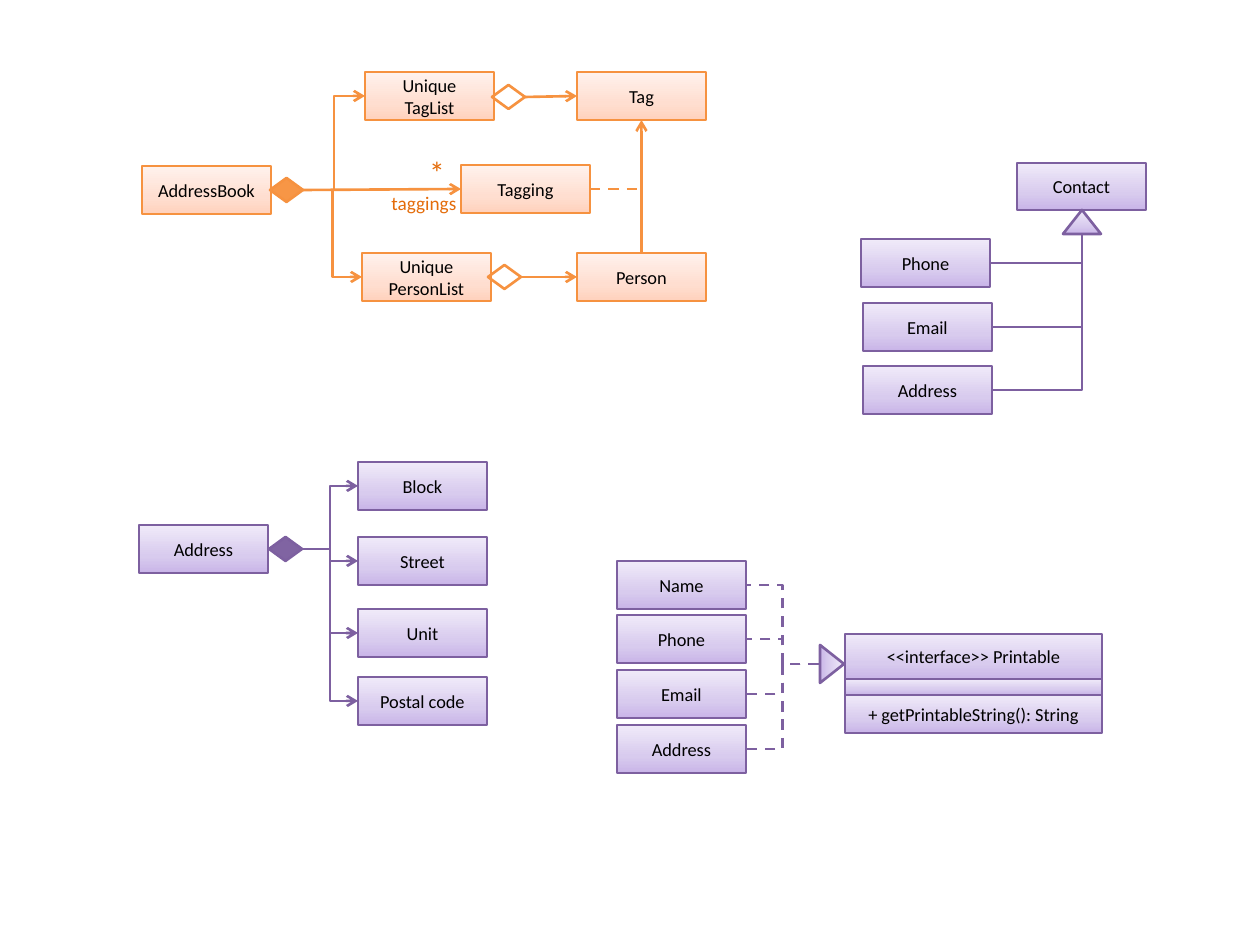
from dataclasses import dataclass
from copy import deepcopy
from typing import Any, Optional

from pptx import Presentation
from pptx.dml.color import RGBColor
from pptx.enum import dml, shapes, text
from pptx.oxml.ns import qn
from pptx.oxml.xmlchemy import OxmlElement
from pptx.util import Emu, Pt

SCALE = 914400 / 126  # EMU in one px
WIDE, HIGH = 129, 48  # usual box
TOP, LEFT, BOTTOM, RIGHT = range(4)
KIND = shapes.MSO_SHAPE
PATH = shapes.MSO_CONNECTOR


@dataclass(frozen=True)
class Theme:
    line: str
    solid: str
    grad: tuple[str, str, str]


@dataclass(frozen=True)
class End:
    x: int
    y: int
    shape: Any = None
    side: int = 0


PURPLE = Theme("7D60A0", "8064A2", ("C9B5E8", "D8CBEE", "F0EAF9"))
ORANGE = Theme("F69240", "F79646", ("FFD2BD", "FFDED0", "FFF2ED"))

deck = Presentation()
deck.slide_width, deck.slide_height = Emu(9144000), Emu(6858000)
slide = deck.slides.add_slide(deck.slide_layouts[6])


def px(n: float) -> Emu:
    return Emu(round(n * SCALE))


def rgb(code: str) -> RGBColor:
    return RGBColor.from_string(code)


def write(frame: Any, words: str, *, size: float = 10.5, color: str = "000000",
          align: Any = text.PP_ALIGN.CENTER) -> None:
    para = frame.paragraphs[0]
    para.text = words
    para.alignment = align
    for run in para.runs:
        run.font.name, run.font.size = "Calibri", Pt(size)
        run.font.color.rgb = rgb(color)


def shade(shape: Any, theme: Theme) -> None:
    shape.fill.gradient()
    shape.fill.gradient_angle = 90
    first = shape._element.spPr.find(".//" + qn("a:gs"))
    first.addnext(deepcopy(first))
    for stop, spot, code in zip(shape.fill.gradient_stops, (0, 0.35, 1), theme.grad):
        stop.position = spot
        stop.color.rgb = rgb(code)


def draw(kind: Any, theme: Theme, x: int, y: int, w: int, h: int) -> Any:
    shape = slide.shapes.add_shape(kind, px(x), px(y), px(w), px(h))
    shape.shadow.inherit = False
    shape.line.color.rgb, shape.line.width = rgb(theme.line), Pt(1.5)
    return shape


def box(theme: Theme, words: str, x: int, y: int, w: int = WIDE, h: int = HIGH) -> Any:
    shape = draw(KIND.RECTANGLE, theme, x, y, w, h)
    shade(shape, theme)
    if words:
        write(shape.text_frame, words)
    return shape


def gem(theme: Theme, x: int, y: int, full: bool = False) -> Any:
    shape = draw(KIND.FLOWCHART_DECISION, theme, x, y, 33, 24)
    if full:
        shape.fill.solid()
        shape.fill.fore_color.rgb = rgb(theme.solid)
    else:
        shape.fill.background()
    return shape


def head(theme: Theme, x: int, y: int, turn: int = 0) -> None:
    shape = draw(KIND.ISOSCELES_TRIANGLE, theme, x, y, 38, 24)
    shade(shape, theme)
    shape.rotation = turn


def at(shape: Any, side: int) -> End:
    dx, dy = ((0.5, 0), (0, 0.5), (0.5, 1), (1, 0.5))[side]
    return End(round((shape.left + dx * shape.width) / SCALE),
               round((shape.top + dy * shape.height) / SCALE), shape, side)


def link(theme: Theme, start: End, stop: End, *, path: Any = PATH.STRAIGHT,
         arrow: bool = False, dash: bool = False, prst: Optional[str] = None) -> None:
    wire = slide.shapes.add_connector(path, px(start.x), px(start.y), px(stop.x), px(stop.y))
    if start.shape is not None:
        wire.begin_connect(start.shape, start.side)
    if stop.shape is not None:
        wire.end_connect(stop.shape, stop.side)
    wire.line.color.rgb, wire.line.width = rgb(theme.line), Pt(1.5)
    if dash:
        wire.line.dash_style = dml.MSO_LINE.DASH
    props = wire._element.spPr
    if arrow:
        tip = OxmlElement("a:tailEnd")
        tip.set("type", "arrow")
        props.find(qn("a:ln")).append(tip)
    props.append(OxmlElement("a:effectLst"))
    if prst:
        props.find(qn("a:prstGeom")).set("prst", prst)


def label(words: str, x: int, y: int, w: int, h: int, **form: Any) -> None:
    frame = slide.shapes.add_textbox(px(x), px(y), px(w), px(h)).text_frame
    frame.word_wrap = True
    write(frame, words, color="E46C0A", **form)


# Address and its parts
owner = box(PURPLE, "Address", 139, 525)
knot = gem(PURPLE, 269, 537, full=True)
for name, y in (("Block", 462), ("Street", 537), ("Unit", 609), ("Postal code", 677)):
    part = box(PURPLE, name, 358, y)
    link(PURPLE, at(knot, RIGHT), at(part, LEFT), path=PATH.ELBOW, arrow=True)

# Contact and its subclasses
box(PURPLE, "Contact", 1017, 163, h=47)
head(PURPLE, 1063, 210)
for name, x, y in (("Phone", 861, 239), ("Email", 863, 303), ("Address", 863, 366)):
    box(PURPLE, name, x, y)
    link(PURPLE, End(x + WIDE, y + HIGH // 2), End(1082, 234),
         path=PATH.ELBOW, prst="bentConnector2")

# Printable interface and the classes that realise it
for words, y, h in (("<<interface>> Printable", 634, 45), ("", 679, 16),
                    ("+ getPrintableString(): String", 695, 38)):
    box(PURPLE, words, 845, y, 257, h)
head(PURPLE, 813, 652, turn=90)
for row, name in enumerate(("Name", "Phone", "Email", "Address")):
    y = 561 + row * 164 // 3
    box(PURPLE, name, 617, y)
    link(PURPLE, End(819, 664), End(617 + WIDE, y + HIGH // 2), path=PATH.ELBOW, dash=True)

# Address book, its lists and their items
book = box(ORANGE, "AddressBook", 142, 166)
tags = box(ORANGE, "Unique\nTagList", 365, 72)
people = box(ORANGE, "Unique\nPersonList", 362, 253)
tag = box(ORANGE, "Tag", 577, 72)
person = box(ORANGE, "Person", 577, 253)
tagging = box(ORANGE, "Tagging", 461, 165)
root = gem(ORANGE, 270, 178, full=True)

for group in (tags, people):
    link(ORANGE, at(root, RIGHT), at(group, LEFT), path=PATH.ELBOW, arrow=True)
for x, y, item in ((492, 85, tag), (488, 265, person)):
    link(ORANGE, at(gem(ORANGE, x, y), RIGHT), at(item, LEFT), arrow=True)
link(ORANGE, at(root, RIGHT), at(tagging, LEFT), arrow=True)
link(ORANGE, at(person, TOP), at(tag, BOTTOM), arrow=True)
link(ORANGE, at(tagging, RIGHT), End(641, 189), dash=True)

# Multiplicity and role
label("*", 416, 147, 42, 50, size=18)
label("taggings", 379, 185, 107, 37, size=11, align=text.PP_ALIGN.LEFT)

deck.save("out.pptx")
